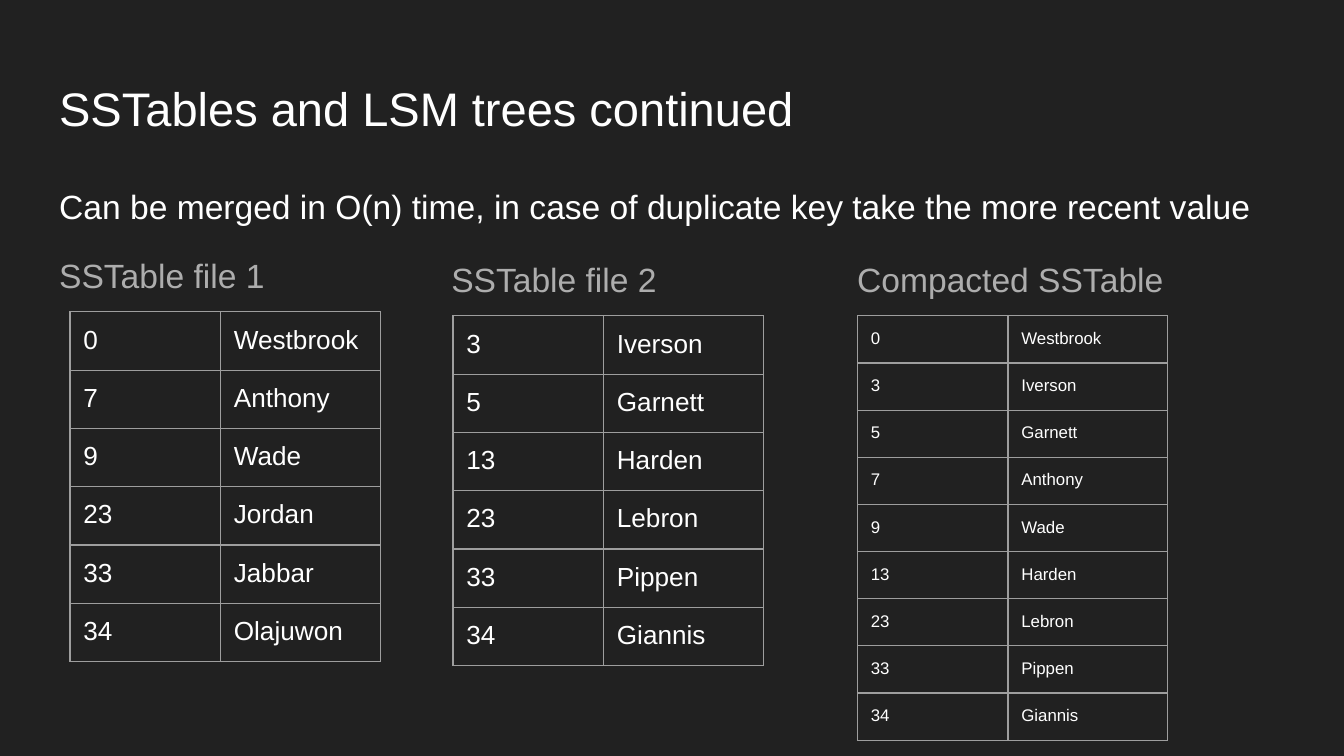
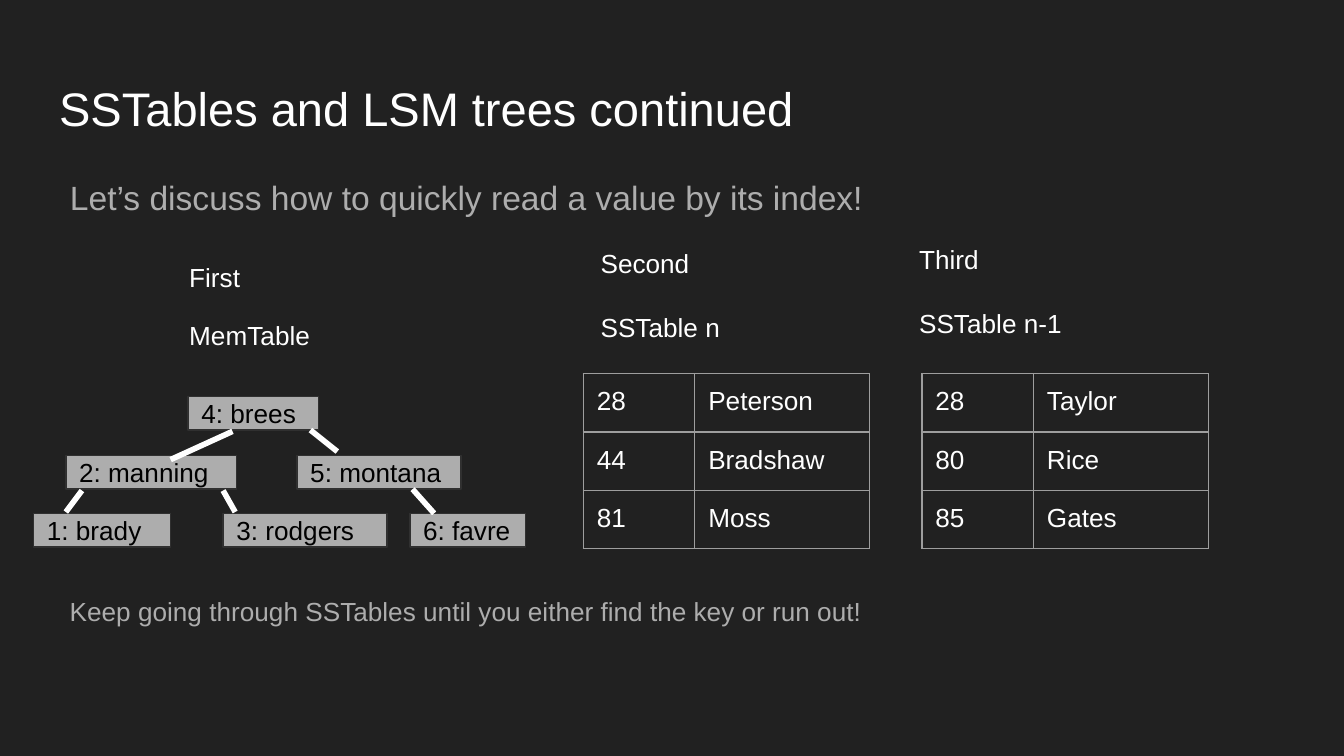
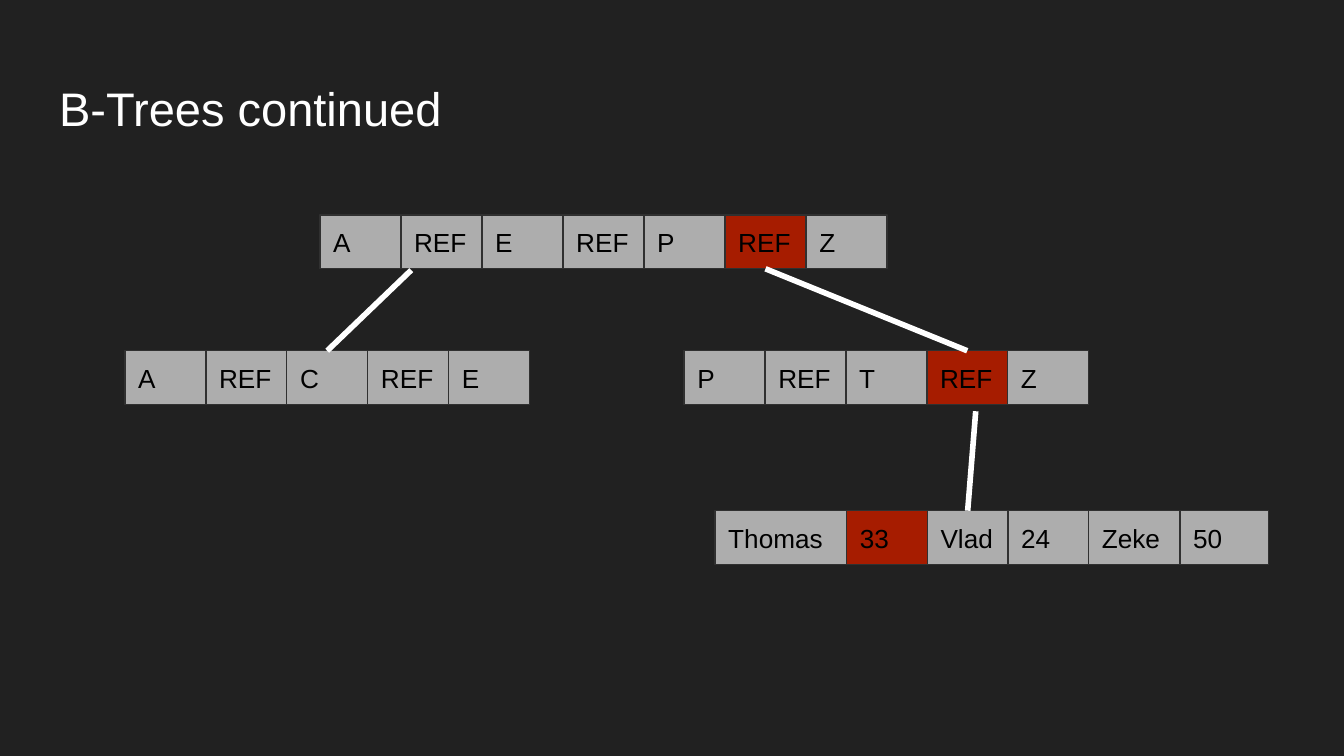
from pptx import Presentation
from pptx.dml.color import RGBColor
from pptx.enum.shapes import MSO_CONNECTOR as Connector, MSO_SHAPE as Shape
from pptx.enum.text import MSO_ANCHOR as Anchor, MSO_AUTO_SIZE as AutoSize, PP_ALIGN as Align
from pptx.oxml import parse_xml
from pptx.oxml.ns import nsdecls
from pptx.util import Inches, Pt

COLORS = {
    "background": "212121",
    "text": "FFFFFF",
    "muted": "ADADAD",
    "node": "ADADAD",
    "node_text": "000000",
    "node_line": "303030",
    "marked": "A61C00",
    "border": "9E9E9E",
}
FONT = "Arial"
MARGIN = Inches(0.1)
TITLE_ONLY, TITLE_AND_BODY = 5, 1
TOP, BOTTOM = 0, 2


def color(name):
    return RGBColor.from_string(COLORS[name])


def write(frame, text, size=14, ink="text", spacing=1.0, before=0, after=0,
          anchor=Anchor.TOP, grow=False):
    """Fill a frame with one paragraph per line; before and after act on all but the first."""
    frame.word_wrap = True
    frame.auto_size = AutoSize.SHAPE_TO_FIT_TEXT if grow else AutoSize.NONE
    frame.vertical_anchor = anchor
    frame.margin_left = frame.margin_right = MARGIN
    frame.margin_top = frame.margin_bottom = MARGIN
    for index, line in enumerate(text.split("\n")):
        para = frame.add_paragraph() if index else frame.paragraphs[0]
        para.alignment = Align.LEFT
        para.line_spacing = spacing
        para.space_before = Pt(before if index else 0)
        para.space_after = Pt(after if index else 0)
        span = para.add_run()
        span.text = line
        span.font.name = FONT
        span.font.size = Pt(size)
        span.font.color.rgb = color(ink)


class Deck:
    def __init__(self):
        self.deck = Presentation()
        self.deck.slide_width, self.deck.slide_height = Inches(10), Inches(5.625)
        fill = self.deck.slide_master.background.fill
        fill.solid()
        fill.fore_color.rgb = color("background")
        self.page = None

    def add_page(self, title, layout=TITLE_AND_BODY):
        self.page = self.deck.slides.add_slide(self.deck.slide_layouts[layout])
        box = self.page.shapes.title
        self.place(box, 0.34, 0.49, 9.32, 0.63)
        write(box.text_frame, title, size=25.2)

    def place(self, box, left, top, width, height):
        box.left, box.top = Inches(left), Inches(top)
        box.width, box.height = Inches(width), Inches(height)

    def body(self, text, left, top, **style):
        """Write plain lines without bullets into the body placeholder."""
        box = self.page.placeholders[1]
        self.place(box, left, top, 9.32, 3.74)
        write(box.text_frame, text, size=18, spacing=1.15, **style)
        for para in box.text_frame.paragraphs:
            properties = para._p.get_or_add_pPr()
            properties.set("marL", "0")
            properties.set("indent", "0")
            properties.append(parse_xml(f"<a:buNone {nsdecls('a')}/>"))
        return box.text_frame.paragraphs

    def text(self, text, left, top, width, height, **style):
        box = self.page.shapes.add_textbox(
            Inches(left), Inches(top), Inches(width), Inches(height))
        write(box.text_frame, text, grow=True, **style)

    def table(self, records, left, top, widths, row_height=0.43, size=14):
        grid = self.page.shapes.add_table(
            len(records), len(widths), Inches(left), Inches(top),
            Inches(sum(widths)), Inches(row_height * len(records))).table
        grid.first_row = grid.horz_banding = False
        for column, width in zip(grid.columns, widths):
            column.width = Inches(width)
        for row, record in enumerate(records):
            for column, value in enumerate(record):
                self.cell(grid.cell(row, column), str(value), size)

    def cell(self, cell, value, size):
        cell.margin_left = cell.margin_right = MARGIN
        cell.margin_top = cell.margin_bottom = MARGIN
        properties = cell._tc.get_or_add_tcPr()
        for side in "LRTB":
            properties.append(parse_xml(
                f'<a:ln{side} {nsdecls("a")} w="{Pt(0.75)}"><a:solidFill>'
                f'<a:srgbClr val="{COLORS["border"]}"/></a:solidFill></a:ln{side}>'))
        cell.fill.background()
        span = cell.text_frame.paragraphs[0].add_run()
        span.text = value
        span.font.name = FONT
        span.font.size = Pt(size)
        span.font.color.rgb = color("text")

    def node(self, label, left, top, width, height, fill="node"):
        box = self.page.shapes.add_shape(
            Shape.RECTANGLE, Inches(left), Inches(top), Inches(width), Inches(height))
        box.shadow.inherit = False
        box.fill.solid()
        box.fill.fore_color.rgb = color(fill)
        box.line.color.rgb = color("node_line")
        box.line.width = Pt(0.75)
        write(box.text_frame, label, ink="node_text", anchor=Anchor.MIDDLE)
        return box

    def node_row(self, labels, left, top, widths, marked=None):
        """Set boxes side by side and return them; marked is the index of the red one."""
        boxes = []
        for index, (label, width) in enumerate(zip(labels, widths)):
            fill = "marked" if index == marked else "node"
            boxes.append(self.node(label, left, top, width, 0.4, fill))
            left += width
        return boxes

    def edge(self, start=(0, 0), end=(0, 0), parent=None, child=None):
        """Draw a line between points, or from a parent's bottom and to a child's top."""
        line = self.page.shapes.add_connector(
            Connector.STRAIGHT, *map(Inches, start), *map(Inches, end))
        if parent is not None:
            line.begin_connect(parent, BOTTOM)
        if child is not None:
            line.end_connect(child, TOP)
        line.line.color.rgb = color("text")
        line.line.width = Pt(3)
        line._element.spPr.append(parse_xml(f"<a:effectLst {nsdecls('a')}/>"))


def merge_page(deck):
    first = {0: "Westbrook", 7: "Anthony", 9: "Wade", 23: "Jordan", 33: "Jabbar", 34: "Olajuwon"}
    second = {3: "Iverson", 5: "Garnett", 13: "Harden", 23: "Lebron", 33: "Pippen", 34: "Giannis"}
    compacted = sorted({**first, **second}.items())
    widths = (1.12, 1.19)

    deck.add_page("SSTables and LSM trees continued")
    paras = deck.body(
        "Can be merged in O(n) time, in case of duplicate key take the more recent value\n"
        "SSTable file 1", 0.34, 1.24, before=12, after=12)
    paras[1].runs[0].font.color.rgb = color("muted")
    heading = dict(size=18, ink="muted", spacing=1.15)
    deck.text("SSTable file 2", 3.26, 1.78, 1.8, 0.5, **heading)
    deck.table(list(first.items()), 0.52, 2.32, widths)
    deck.table(list(second.items()), 3.37, 2.35, widths)
    deck.text("Compacted SSTable", 6.28, 1.78, 4.24, 0.5, **heading)
    deck.table(compacted, 6.38, 2.35, widths, row_height=0.35, size=9)


def read_page(deck):
    deck.add_page("SSTables and LSM trees continued")
    deck.body("Let’s discuss how to quickly read a value by its index!", 0.42, 1.17, ink="muted")

    deck.text("First\nMemTable", 1.31, 1.81, 1.33, 0.88, spacing=1.15, before=12, after=12)
    levels = {
        2.95: [("4: brees", 1.4, 0.97)],
        3.39: [("2: manning", 0.49, 1.27), ("5: montana", 2.21, 1.22)],
        3.82: [("6: favre", 3.05, 0.86), ("1: brady", 0.25, 1.02), ("3: rodgers", 1.66, 1.22)],
    }
    for top, nodes in levels.items():
        for label, left, width in nodes:
            deck.node(label, left, top, width, 0.25)
    for start, end in [
        ((1.73, 3.21), (1.27, 3.42)),
        ((0.61, 3.65), (0.49, 3.81)),
        ((1.66, 3.65), (1.75, 3.81)),
        ((2.31, 3.2), (2.51, 3.36)),
        ((3.07, 3.64), (3.23, 3.82)),
    ]:
        deck.edge(start, end)

    newest = [(28, "Peterson"), (44, "Bradshaw"), (81, "Moss")]
    older = [(28, "Taylor"), (80, "Rice"), (85, "Gates")]
    for heading, left, top, records, table_left in [
        ("Second\nSSTable n", 4.37, 1.74, newest, 4.34),
        ("Third\nSSTable n-1", 6.74, 1.71, older, 6.86),
    ]:
        deck.text(heading, left, top, 1.95, 0.91, before=17.5)
        deck.table(records, table_left, 2.78, (0.83, 1.3))
    deck.text("Keep going through SSTables until you either find the key or run out!",
              0.42, 4.33, 8.42, 0.44, ink="muted")


def btree_page(deck):
    deck.add_page("B-Trees continued", TITLE_ONLY)
    root = deck.node_row(["A", "REF", "E", "REF", "P", "REF", "Z"],
                         2.38, 1.6, [4.22 / 7] * 7, marked=5)
    left_child = deck.node_row(["A", "REF", "C", "REF", "E"], 0.93, 2.61, [3.01 / 5] * 5)
    right_child = deck.node_row(["P", "REF", "T", "REF", "Z"],
                                5.09, 2.61, [3.01 / 5] * 5, marked=3)
    leaf = deck.node_row(["Thomas", "33", "Vlad", "24", "Zeke", "50"],
                         5.32, 3.8, [0.98, 0.6, 0.6, 0.6, 0.68, 0.66], marked=1)
    deck.edge(start=(3.06, 2.01), child=left_child[2])
    deck.edge(parent=root[5], child=right_child[3])
    deck.edge(start=(7.26, 3.06), child=leaf[2])


def main():
    deck = Deck()
    merge_page(deck)
    read_page(deck)
    btree_page(deck)
    deck.deck.save("out.pptx")


if __name__ == "__main__":
    main()
